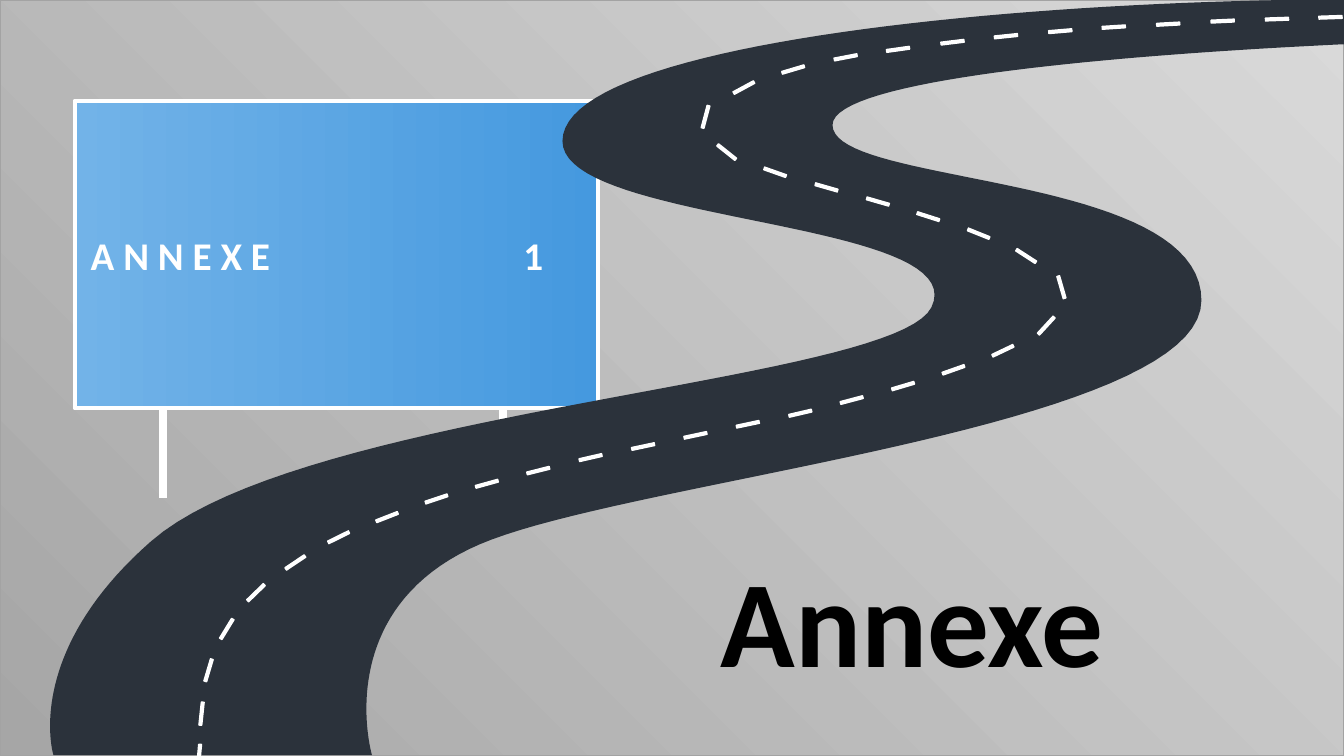
from dataclasses import dataclass
from math import hypot

from lxml.etree import SubElement
from pptx import Presentation
from pptx.dml.color import RGBColor
from pptx.enum.shapes import MSO_CONNECTOR, MSO_SHAPE
from pptx.enum.text import MSO_ANCHOR, PP_ALIGN
from pptx.oxml.ns import qn
from pptx.util import Pt


@dataclass(frozen=True)
class Theme:
    font: str = "Calibri"
    white: str = "FFFFFF"
    black: str = "000000"
    road: str = "2B323B"
    edge: str = "A3A3A3"
    sky: tuple = ("A6A6A6", "D9D9D9")
    sign: tuple = ("72B3E8", "4599DF")
    label: int = 28
    title: int = 88


WIDE, HIGH = 960, 540
STEPS = 40  # line segments per curve
DASH, THICK = 16.5, 2  # length and width of a lane dash

# Each piece is one point for a straight line, three for a cubic curve
ROAD = [
    [(960, 0)], [(960, 31.7)], [(957.6, 31.7)],
    [(917.3, 33.8), (594.7, 48.2), (594.7, 89.3)],
    [(594.7, 133.2), (858.2, 122.4), (858.2, 214.6)],
    [(858.2, 306), (450, 342.7), (342.7, 388.8)],
    [(235.4, 434.9), (265.7, 539.3), (265.7, 539.3)],
    [(38.2, 539.3)],
    [(38.2, 539.3), (15.8, 467.3), (108, 386.6)],
    [(216.7, 291.6), (638.6, 273.6), (665.3, 219.6)],
    [(696.2, 156.2), (401.8, 160.6), (401.8, 100.8)],
    [(401.8, 36), (681.1, 4.3), (916.6, 0)],
]

# Centres of the lane dashes, from the near end to the far end
LANE = [
    (142.6, 540), (144, 509.8), (149, 478.8), (162, 449.3), (182.9, 423.4),
    (211, 401.8), (241.9, 383.8), (276.5, 369.4), (311.8, 356.4),
    (347.8, 345.6), (384.5, 336.2), (421.9, 326.9), (459.4, 319),
    (496.8, 311), (534.2, 303.1), (571.7, 295.2), (608.4, 285.8),
    (645.1, 275.8), (681.1, 264.2), (716.4, 250.6), (747.4, 232.6),
    (758.2, 205.2), (733, 182.9), (699.1, 167), (663.1, 154.8),
    (627.1, 144), (590.4, 133.9), (553.7, 123.1), (519.1, 108.7),
    (504, 83.5), (531.4, 62.6), (566.6, 49.7), (604.1, 41), (641.5, 35.3),
    (680.4, 30.2), (718.6, 25.9), (757.4, 22.3), (795.6, 19.4),
    (834.5, 17.3), (873.4, 15.1), (912.2, 13.7), (950.4, 12.4),
]


def trace(parts):
    """Turn lines and cubic curves into one list of points."""
    dots = []
    for part in parts:
        if len(part) == 1:
            dots += part
            continue
        ends = [dots[-1], *part]
        for step in range(1, STEPS + 1):
            t = step / STEPS
            u = 1 - t
            mix = (u**3, 3 * u * u * t, 3 * u * t * t, t**3)
            dots.append(tuple(sum(m * e[i] for m, e in zip(mix, ends))
                              for i in (0, 1)))
    return dots


def dashes(mids):
    """Lay a thin bar on each centre, along the line of its neighbours."""
    bars = []
    for i, (x, y) in enumerate(mids):
        ax, ay = mids[max(i - 1, 0)]
        bx, by = mids[min(i + 1, len(mids) - 1)]
        size = hypot(bx - ax, by - ay)
        dx, dy = (bx - ax) / size, (by - ay) / size
        bars.append([
            (x + a * dx * DASH / 2 - b * dy * THICK / 2,
             min(y + a * dy * DASH / 2 + b * dx * THICK / 2, HIGH))
            for a, b in ((-1, -1), (1, -1), (1, 1), (-1, 1))])
    return bars


class Deck:
    def __init__(self, theme):
        self.theme = theme
        self.file = Presentation()
        self.file.slide_width, self.file.slide_height = Pt(WIDE), Pt(HIGH)
        self.slide = self.file.slides.add_slide(self.file.slide_layouts[5])
        self.shapes = self.slide.shapes

    def paint(self, shape, fill, line=None, width=0):
        shape.shadow.inherit = False
        shape.fill.solid()
        shape.fill.fore_color.rgb = RGBColor.from_string(fill)
        if line:
            shape.line.color.rgb = RGBColor.from_string(line)
            shape.line.width = Pt(width)
        else:
            shape.line.fill.background()

    def panel(self, box, shades, angle, line, width):
        shape = self.shapes.add_shape(MSO_SHAPE.RECTANGLE, *map(Pt, box))
        self.paint(shape, shades[0], line, width)
        shape.fill.gradient()
        shape.fill.gradient_angle = angle
        for stop, shade, place in zip(shape.fill.gradient_stops, shades, (0, 1)):
            stop.color.rgb = RGBColor.from_string(shade)
            stop.position = place
        return shape

    def post(self, x, top, foot):
        line = self.shapes.add_connector(
            MSO_CONNECTOR.STRAIGHT, Pt(x), Pt(foot), Pt(x), Pt(top))
        line.line.color.rgb = RGBColor.from_string(self.theme.white)
        line.line.width = Pt(6)
        SubElement(line.element.spPr, qn("a:effectLst"))

    def outline(self, loops, fill, line=None, width=0):
        pen = None
        for loop in loops:
            first, *rest = [(Pt(x), Pt(y)) for x, y in loop]
            if pen is None:
                pen = self.shapes.build_freeform(*first)
            else:
                pen.move_to(*first)
            pen.add_line_segments(rest, close=True)
        self.paint(pen.convert_to_shape(), fill, line, width)

    def letter(self, shape, text, size, color, align, anchor, pads):
        """Put one styled run of text into a shape."""
        frame = shape.text_frame
        frame.word_wrap = True
        frame.vertical_anchor = anchor
        frame.margin_left, frame.margin_right = map(Pt, pads)
        frame.margin_top = frame.margin_bottom = Pt(3.6)
        para = frame.paragraphs[0]
        para.alignment = align
        run = para.add_run()
        run.text = text
        run.font.name, run.font.size, run.font.bold = self.theme.font, Pt(size), True
        run.font.color.rgb = RGBColor.from_string(color)

    def label(self, shape, text, align):
        self.letter(shape, text, self.theme.label, self.theme.white, align,
                    MSO_ANCHOR.MIDDLE, (11.5, 7.2))

    def note(self, box, text):
        self.label(self.shapes.add_textbox(*map(Pt, box)), text, PP_ALIGN.CENTER)

    def title(self, box, text):
        """Fill the title placeholder and bring it to the front."""
        shape = self.shapes.title
        shape.left, shape.top, shape.width, shape.height = map(Pt, box)
        self.letter(shape, text, self.theme.title, self.theme.black,
                    PP_ALIGN.CENTER, MSO_ANCHOR.BOTTOM, (0, 0))
        shape.element.getparent().append(shape.element)


def main():
    theme = Theme()
    deck = Deck(theme)
    deck.panel((0, 0, WIDE, HIGH), theme.sky, 45, theme.edge, 1.25)
    for x in (359.3, 116.6):
        deck.post(x, 227.5, 355.7)
    sign = deck.panel((53.3, 72, 373.7, 219.6), theme.sign, 0, theme.white, 3)
    deck.label(sign, "A N N E X E", PP_ALIGN.LEFT)
    deck.note((337.7, 72, 82.1, 219.6), "1")
    deck.outline([trace(ROAD)], theme.road)
    deck.outline(dashes(LANE), theme.white, theme.white, 1)
    deck.title((378.7, 384.5, 545.8, 113.8), "Annexe")
    deck.file.save("out.pptx")


if __name__ == "__main__":
    main()
